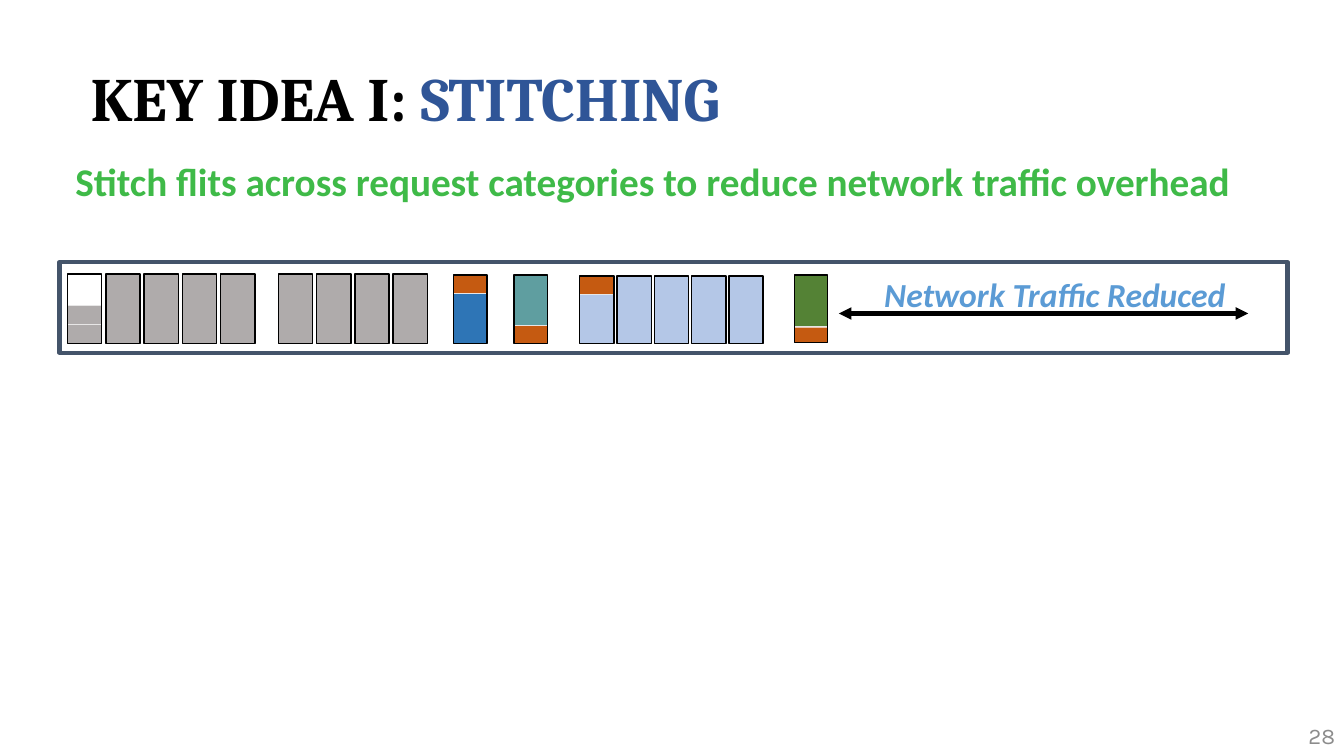
from dataclasses import dataclass

from lxml import etree
from pptx import Presentation
from pptx.dml.color import RGBColor
from pptx.enum.shapes import MSO_CONNECTOR, MSO_SHAPE
from pptx.enum.text import MSO_ANCHOR, PP_ALIGN
from pptx.oxml.ns import qn
from pptx.util import Pt

RECT = MSO_SHAPE.RECTANGLE
STRAIGHT = MSO_CONNECTOR.STRAIGHT
TOP, MIDDLE = MSO_ANCHOR.TOP, MSO_ANCHOR.MIDDLE
LEFT, RIGHT = PP_ALIGN.LEFT, PP_ALIGN.RIGHT
EMU_PER_PX = 9144


@dataclass(frozen=True)
class Theme:
    black: str = "000000"
    title_accent: str = "2F5597"
    claim: str = "3FBA48"
    saving: str = "5B9BD5"
    page: str = "8C8C8C"
    link_border: str = "44546A"
    divider: str = "E7E6E6"
    gray: str = "AFABAB"
    orange: str = "C55A11"
    blue: str = "2E75B6"
    pale_blue: str = "B4C7E7"
    teal: str = "5F9EA0"
    green: str = "548235"
    title_font: str = "Cambria"
    body_font: str = "Calibri"
    page_font: str = "Karla"
    title_size: int = 44
    claim_size: int = 28
    saving_size: int = 24
    page_size: int = 16
    thin: int = 1
    thick: int = 3


THEME = Theme()


def px(*lengths):
    return [length * EMU_PER_PX for length in lengths]


def rgb(color):
    return RGBColor.from_string(color)


def add_rect(slide, box, fill=None, border=None, weight=THEME.thin):
    rect = slide.shapes.add_shape(RECT, *px(*box))
    rect.shadow.inherit = False
    if fill:
        rect.fill.solid()
        rect.fill.fore_color.rgb = rgb(fill)
    else:
        rect.fill.background()
    if border:
        rect.line.color.rgb = rgb(border)
        rect.line.width = Pt(weight)
    else:
        rect.line.fill.background()


def add_text(slide, box, pieces, font, size, bold=True, italic=False,
             anchor=TOP, align=LEFT, spacing=None, inset=True):
    frame = slide.shapes.add_textbox(*px(*box)).text_frame
    frame.word_wrap = True
    frame.vertical_anchor = anchor
    if not inset:
        frame.margin_left = frame.margin_right = 0
        frame.margin_top = frame.margin_bottom = 0
    paragraph = frame.paragraphs[0]
    paragraph.alignment = align
    paragraph.line_spacing = spacing
    for words, color in pieces:
        run = paragraph.add_run()
        run.text = words
        run.font.name = font
        run.font.size = Pt(size)
        run.font.bold = bold
        run.font.italic = italic
        run.font.color.rgb = rgb(color)


def add_double_arrow(slide, left, right, y):
    arrow = slide.shapes.add_connector(STRAIGHT, *px(left, y, right, y))
    arrow.line.color.rgb = rgb(THEME.black)
    arrow.line.width = Pt(THEME.thick)
    line = arrow.line._get_or_add_ln()
    for end in ("a:headEnd", "a:tailEnd"):
        etree.SubElement(line, qn(end), type="triangle")
    etree.SubElement(arrow._element.spPr, qn("a:effectLst"))


def add_flit_run(slide, left, top, pitch, count, height, fill):
    for index in range(count):
        box = (left + index * pitch, top, 34, height)
        add_rect(slide, box, fill, THEME.black)


def add_stitched_flit(slide, left, top, width, height, segments):
    for offset, segment_height, fill, border in segments:
        box = (left, top + offset, width, segment_height)
        add_rect(slide, box, fill, border)
    add_rect(slide, (left, top, width, height), border=THEME.black)


def add_link(slide):
    divider = THEME.divider
    add_rect(slide, (59, 260, 1218, 90),
             border=THEME.link_border, weight=THEME.thick)
    for left, count in ((105, 4), (276, 4)):
        add_flit_run(slide, left, 272, 38, count, 69, THEME.gray)
    add_flit_run(slide, 612, 274, 37, 4, 67, THEME.pale_blue)

    stitched_flits = (
        (67, 272, 34, 69, ((50, 19, THEME.gray, None),
                           (31, 19, THEME.gray, divider))),
        (450, 273, 33, 68, ((18, 50, THEME.blue, None),
                            (0, 18, THEME.orange, divider))),
        (510, 273, 33, 68, ((50, 18, THEME.orange, None),
                            (0, 50, THEME.teal, divider))),
        (575, 274, 34, 67, ((18, 49, THEME.pale_blue, None),
                            (0, 18, THEME.orange, divider))),
        (788, 273, 33, 67, ((52, 15, THEME.orange, None),
                            (0, 51, THEME.green, divider))),
    )
    for flit in stitched_flits:
        add_stitched_flit(slide, *flit)

    add_text(slide, (877, 272, 344, 40),
             [("Network Traffic Reduced", THEME.saving)],
             THEME.body_font, THEME.saving_size, italic=True, inset=False)
    add_double_arrow(slide, 832, 1238, 311)


def main():
    deck = Presentation()
    deck.slide_width, deck.slide_height = px(1333, 750)
    slide = deck.slides.add_slide(deck.slide_layouts[6])
    add_text(slide, (80, 28, 1150, 145),
             [("KEY IDEA I: ", THEME.black),
              ("STITCHING", THEME.title_accent)],
             THEME.title_font, THEME.title_size, anchor=MIDDLE, spacing=0.9)
    add_text(slide, (65, 156, 1206, 66),
             [("Stitch flits across request categories "
               "to reduce network traffic overhead", THEME.claim)],
             THEME.body_font, THEME.claim_size, spacing=0.9)
    add_link(slide)
    add_text(slide, (1034, 710, 300, 40), [("28", THEME.page)],
             THEME.page_font, THEME.page_size, bold=False,
             anchor=MIDDLE, align=RIGHT)
    deck.save("out.pptx")


if __name__ == "__main__":
    main()
